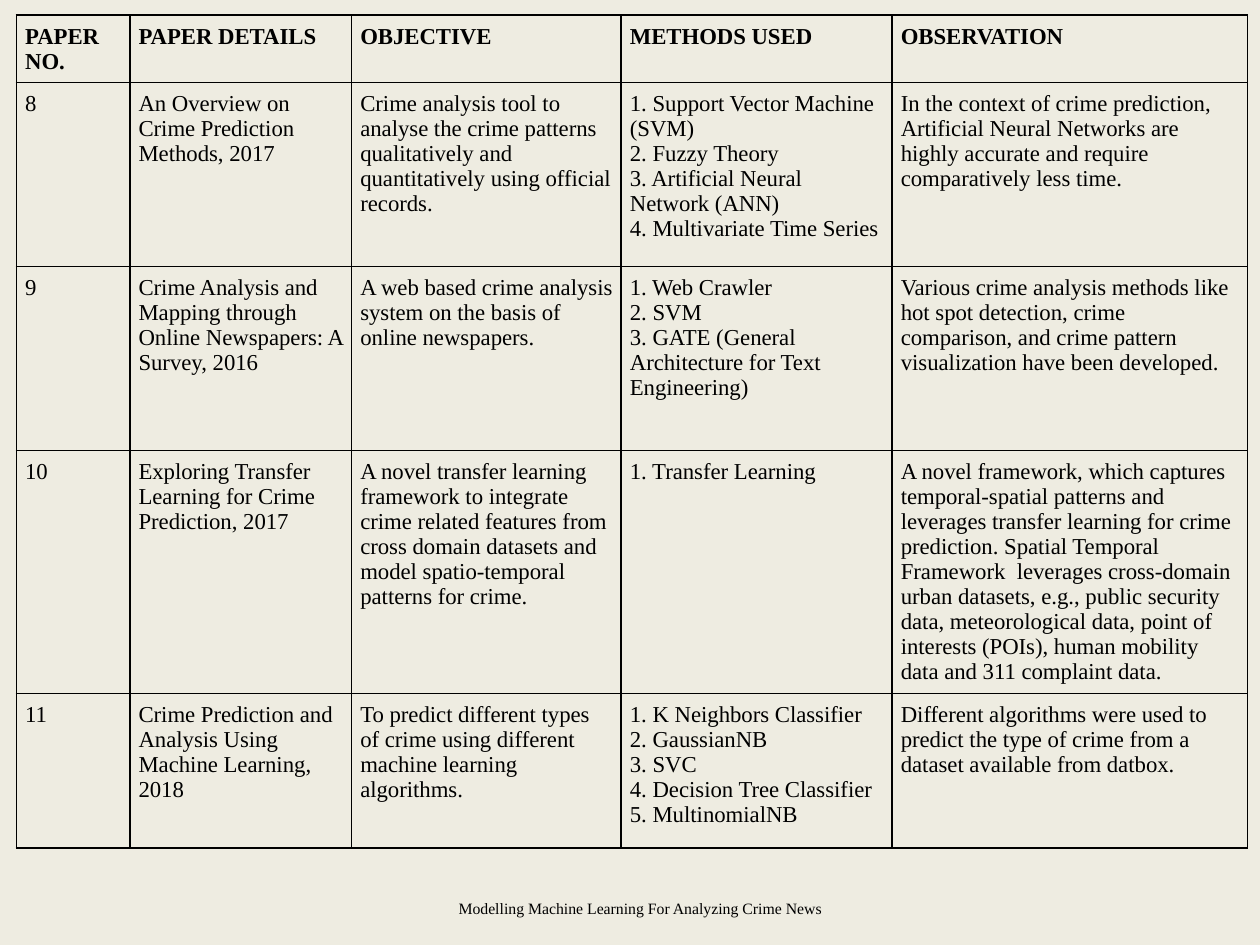
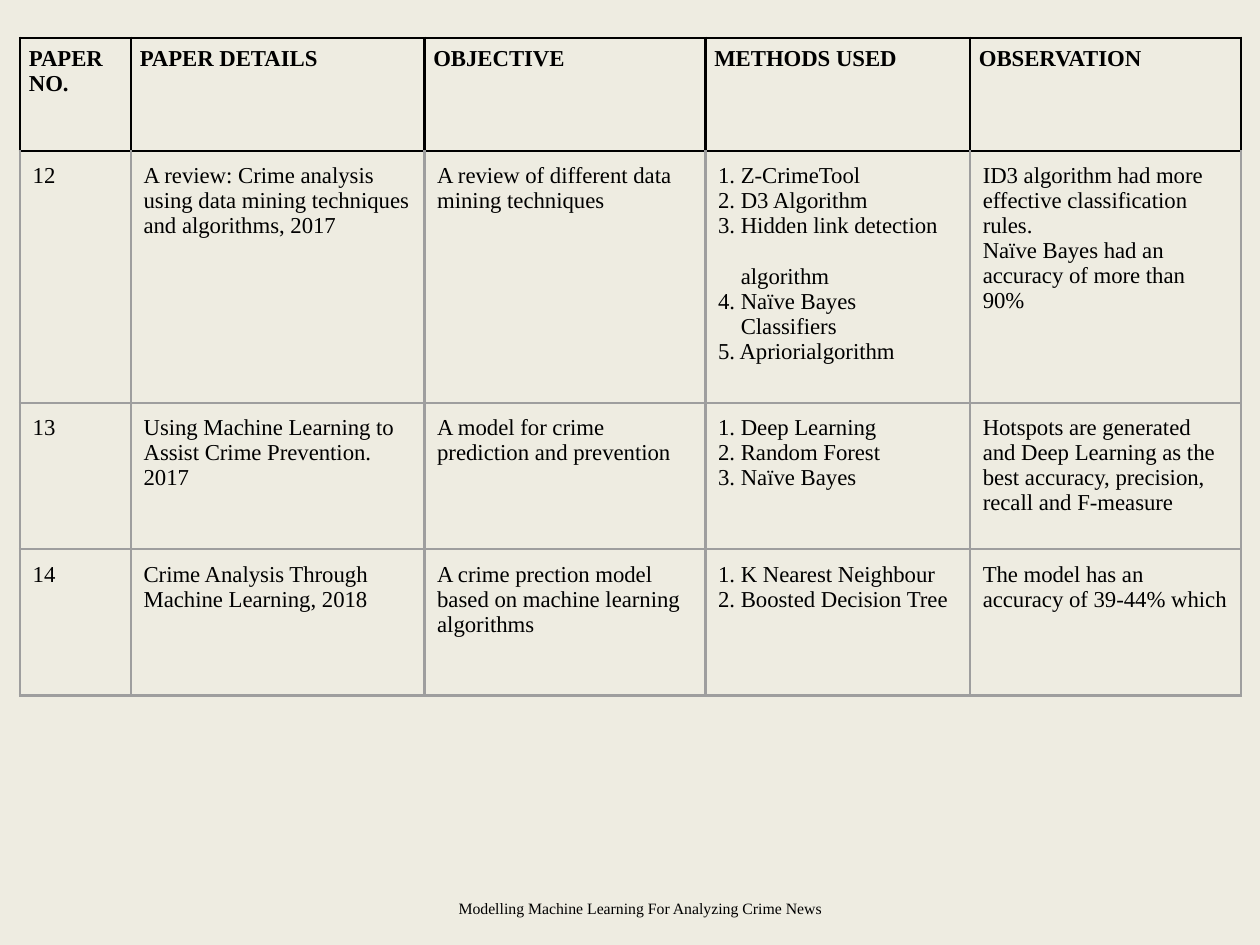
from collections import namedtuple

from lxml.etree import SubElement
from pptx import Presentation
from pptx.dml.color import RGBColor
from pptx.enum.text import PP_ALIGN
from pptx.oxml.ns import qn
from pptx.util import Inches, Pt

CREAM = RGBColor(0xEE, 0xEC, 0xE1)
BLACK = RGBColor(0x00, 0x00, 0x00)
GREY = RGBColor(0x9E, 0x9E, 0x9E)
FONT = "Times New Roman"
FOOTER = "Modelling Machine Learning For Analyzing Crime News"
HEADINGS = (("PAPER", "NO."), "PAPER DETAILS", "OBJECTIVE", "METHODS USED", "OBSERVATION")

Continuation = namedtuple("Continuation", "text gap")

PAPERS_8_TO_11 = [
    ("8", "An Overview on Crime Prediction Methods, 2017",
     "Crime analysis tool to analyse the crime patterns qualitatively and "
     "quantitatively using official records.",
     ("1. Support Vector Machine (SVM)", "2. Fuzzy Theory",
      "3. Artificial Neural Network (ANN)", "4. Multivariate Time Series"),
     "In the context of crime prediction, Artificial Neural Networks are highly "
     "accurate and require comparatively less time."),
    ("9", "Crime Analysis and Mapping through Online Newspapers: A Survey, 2016",
     "A web based crime analysis system on the basis of online newspapers.",
     ("1. Web Crawler", "2. SVM", "3. GATE (General Architecture for Text Engineering)"),
     "Various crime analysis methods like hot spot detection, crime comparison, "
     "and crime pattern visualization have been developed."),
    ("10", "Exploring Transfer Learning for Crime Prediction, 2017",
     "A novel transfer learning framework to integrate crime related features from "
     "cross domain datasets and model spatio-temporal patterns for crime.",
     "1. Transfer Learning",
     "A novel framework, which captures temporal-spatial patterns and leverages "
     "transfer learning for crime prediction. Spatial Temporal Framework  leverages "
     "cross-domain urban datasets, e.g., public security data, meteorological data, "
     "point of interests (POIs), human mobility data and 311 complaint data."),
    ("11", "Crime Prediction and Analysis Using Machine Learning, 2018",
     "To predict different types of crime using different machine learning algorithms.",
     ("1. K Neighbors Classifier", "2. GaussianNB", "3. SVC",
      "4. Decision Tree Classifier", "5. MultinomialNB"),
     "Different algorithms were used to predict the type of crime from a dataset "
     "available from datbox."),
]

PAPERS_12_TO_14 = [
    ("12", "A review: Crime analysis using data mining techniques and algorithms, 2017",
     "A review of different data mining techniques",
     ("1. Z-CrimeTool", "2. D3 Algorithm", "3. Hidden link detection",
      Continuation("algorithm", 14.4), "4. Naïve Bayes",
      Continuation("Classifiers", 0), "5. Apriorialgorithm"),
     ("ID3 algorithm had more effective classification rules.",
      "Naïve Bayes had an accuracy of more than 90%")),
    ("13", "Using Machine Learning to Assist Crime Prevention. 2017",
     "A model for crime prediction and prevention",
     ("1. Deep Learning", "2. Random Forest", "3. Naïve Bayes"),
     "Hotspots are generated and Deep Learning as the best accuracy, precision, "
     "recall and F-measure"),
    ("14", "Crime Analysis Through Machine Learning, 2018",
     ("A crime prection model based on machine learning", "algorithms"),
     ("1. K Nearest Neighbour", "2. Boosted Decision Tree"),
     "The model has an accuracy of 39-44% which"),
]


def write(para, text, size=13, bold=False, align=PP_ALIGN.LEFT, indent=0, gap=0):
    """Put formatted text in a paragraph."""
    para.alignment = align
    para.space_before = Pt(gap)
    if indent:
        para._p.get_or_add_pPr().set("marL", str(Inches(indent)))
    span = para.add_run()
    span.text = text
    span.font.name = FONT
    span.font.size = Pt(size)
    span.font.bold = bold
    span.font.color.rgb = BLACK


def set_margins(area, inset):
    """Give a cell or text frame the same margin on every side."""
    area.margin_left = area.margin_top = area.margin_right = area.margin_bottom = Inches(inset)


def set_borders(cell, width, color, top_color):
    """Draw the four borders of a cell."""
    properties = cell._tc.get_or_add_tcPr()
    for side in "LRTB":
        line = SubElement(properties, qn(f"a:ln{side}"), w=str(Pt(width)))
        fill = SubElement(line, qn("a:solidFill"))
        SubElement(fill, qn("a:srgbClr"), val=str(top_color if side == "T" else color))


class SurveyDeck:
    """Literature survey slides with a common background, table and footer."""

    def __init__(self):
        """Start an empty deck."""
        self.deck = Presentation()
        self.deck.slide_width = Inches(10)
        self.deck.slide_height = Inches(7.5)
        self.page = None

    def add_page(self):
        """Add a blank page in the deck colour."""
        self.page = self.deck.slides.add_slide(self.deck.slide_layouts[6])
        fill = self.page.background.fill
        fill.solid()
        fill.fore_color.rgb = CREAM

    def add_footer(self):
        """Add the centred footer."""
        box = self.page.shapes.add_textbox(Inches(0.35), Inches(7.06), Inches(9.46), Inches(0.26))
        frame = box.text_frame
        frame.word_wrap = True
        set_margins(frame, 0.1)
        write(frame.paragraphs[0], FOOTER, size=9, align=PP_ALIGN.CENTER)

    def fill_cell(self, cell, content, inset, bold):
        """Write the lines of one cell."""
        set_margins(cell, inset)
        cell.fill.background()
        lines = (content,) if isinstance(content, str) else content
        for index, line in enumerate(lines):
            frame = cell.text_frame
            para = frame.add_paragraph() if index else frame.paragraphs[0]
            if isinstance(line, Continuation):
                write(para, line.text, indent=0.18, gap=line.gap)
            else:
                write(para, line, bold=bold)

    def add_survey(self, papers, left, top, widths, heights, line_width, body_color, inset):
        """Add the table of papers below its heading row."""
        rows = [HEADINGS, *papers]
        frame = self.page.shapes.add_table(
            len(rows), len(widths), Inches(left), Inches(top),
            Inches(sum(widths)), Inches(sum(heights)))
        table = frame.table
        table.first_row = table.horz_banding = False
        for column, width in zip(table.columns, widths):
            column.width = Inches(width)
        for number, (row, height, contents) in enumerate(zip(table.rows, heights, rows)):
            row.height = Inches(height)
            heading = number == 0
            color = BLACK if heading else body_color
            top_color = BLACK if number < 2 else body_color
            for cell, content in zip(row.cells, contents):
                set_borders(cell, line_width, color, top_color)
                self.fill_cell(cell, content, 0.07 if heading else inset, heading)


def main():
    """Build and save the survey."""
    survey = SurveyDeck()
    survey.add_page()
    survey.add_survey(PAPERS_8_TO_11, 0.13, 0.12, (0.9, 1.76, 2.14, 2.15, 2.82),
                      (0.41, 1.46, 1.46, 1.46, 1.23), 1, BLACK, 0.07)
    survey.add_footer()
    survey.add_page()
    survey.add_survey(PAPERS_12_TO_14, 0.16, 0.3, (0.88, 2.33, 2.23, 2.1, 2.15),
                      (0.9, 2, 1.16, 1.16), 1.5, GREY, 0.1)
    survey.add_footer()
    survey.deck.save("out.pptx")


if __name__ == "__main__":
    main()
